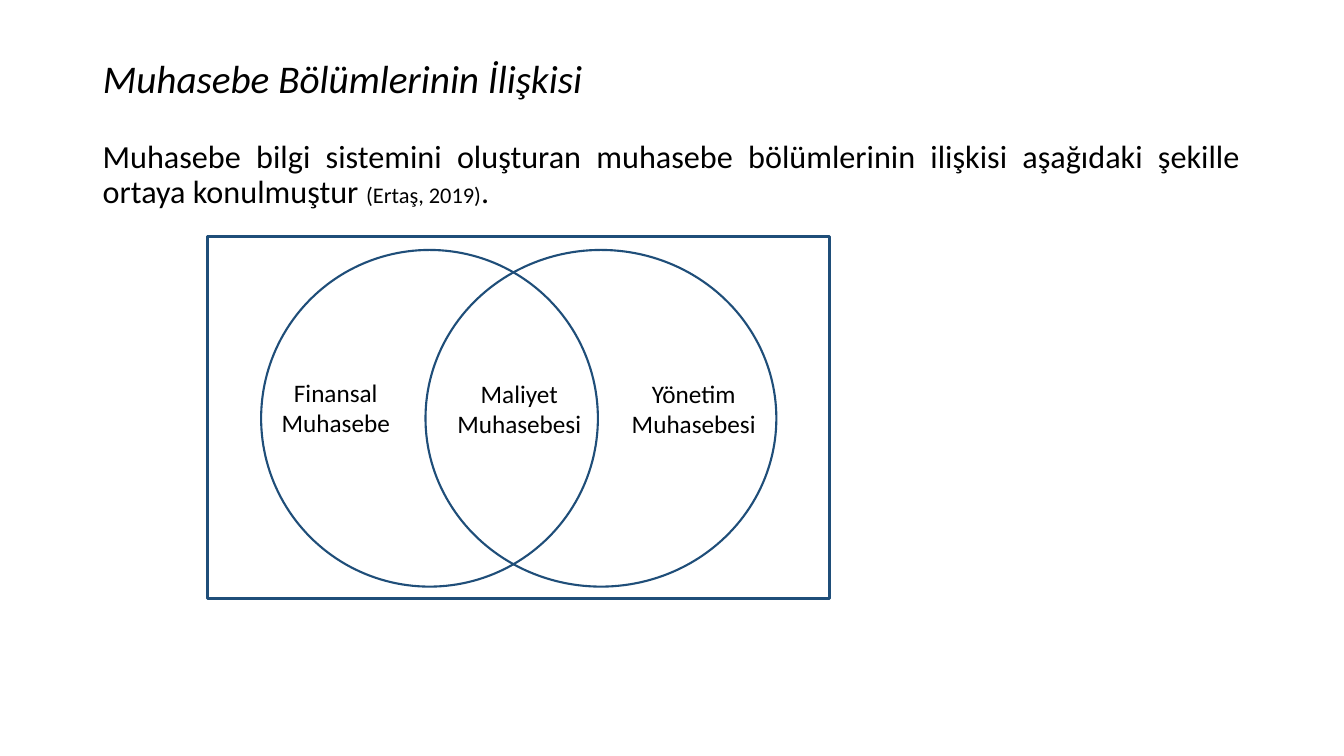
from pptx import Presentation
from pptx.dml.color import RGBColor
from pptx.enum.shapes import MSO_SHAPE
from pptx.enum.text import MSO_ANCHOR, PP_ALIGN
from pptx.util import Inches, Pt

COLORS = {"text": "000000", "outline": "1F4E79", "paper": "FFFFFF"}
FONT = "Calibri"


def color(name):
    return RGBColor.from_string(COLORS[name])


def place(box, left, top, width, height):
    box.left, box.top = Inches(left), Inches(top)
    box.width, box.height = Inches(width), Inches(height)


def style(span, size, italic=False):
    span.font.name = FONT
    span.font.size = Pt(size)
    span.font.italic = italic
    span.font.color.rgb = color("text")


def add_title(page, text):
    title = page.shapes.title
    place(title, 0.92, 0.4, 11.5, 0.8)
    frame = title.text_frame
    frame.text = text
    frame.vertical_anchor = MSO_ANCHOR.MIDDLE
    para = frame.paragraphs[0]
    para.alignment = PP_ALIGN.LEFT
    para.line_spacing = 0.9
    style(para.runs[0], 28, italic=True)


def add_body(page, pieces):
    box = page.shapes.add_textbox(Inches(0.92), Inches(1.35), Inches(11.5), Inches(0.9))
    box.text_frame.word_wrap = True
    para = box.text_frame.paragraphs[0]
    para.alignment = PP_ALIGN.JUSTIFY
    para.line_spacing = 0.9
    for text, size in pieces:
        span = para.add_run()
        span.text = text
        style(span, size)


def add_outline(page, kind, left, top, width, height, weight, filled=True):
    shape = page.shapes.add_shape(
        kind, Inches(left), Inches(top), Inches(width), Inches(height))
    shape.shadow.inherit = False
    if filled:
        shape.fill.solid()
        shape.fill.fore_color.rgb = color("paper")
    else:
        shape.fill.background()
    shape.line.color.rgb = color("outline")
    shape.line.width = Pt(weight)


def add_label(page, text, left, top):
    box = page.shapes.add_textbox(Inches(left), Inches(top), Inches(1.48), Inches(0.71))
    frame = box.text_frame
    frame.word_wrap = True
    frame.text = text
    para = frame.paragraphs[0]
    para.alignment = PP_ALIGN.CENTER
    style(para.runs[0], 18)


def main():
    deck = Presentation()
    deck.slide_width, deck.slide_height = Inches(13.33), Inches(7.5)
    page = deck.slides.add_slide(deck.slide_layouts[5])

    # Heading and introduction
    add_title(page, "Muhasebe Bölümlerinin İlişkisi")
    add_body(page, [
        ("Muhasebe bilgi sistemini oluşturan muhasebe bölümlerinin ilişkisi "
         "aşağıdaki şekille ortaya konulmuştur ", 23),
        ("(Ertaş, 2019)", 16),
        (".", 23),
    ])

    # Venn diagram: frame and two overlapping circles
    add_outline(page, MSO_SHAPE.RECTANGLE, 2.06, 2.35, 6.17, 3.59, 2)
    add_outline(page, MSO_SHAPE.OVAL, 2.59, 2.48, 3.34, 3.34, 1.5)
    add_outline(page, MSO_SHAPE.OVAL, 4.22, 2.48, 3.48, 3.34, 1.5, filled=False)

    # Names of the three areas
    for text, left, top in (
        ("Finansal Muhasebe", 2.59, 3.69),
        ("Maliyet Muhasebesi", 4.41, 3.7),
        ("Yönetim Muhasebesi", 6.14, 3.7),
    ):
        add_label(page, text, left, top)

    deck.save("out.pptx")


if __name__ == "__main__":
    main()
